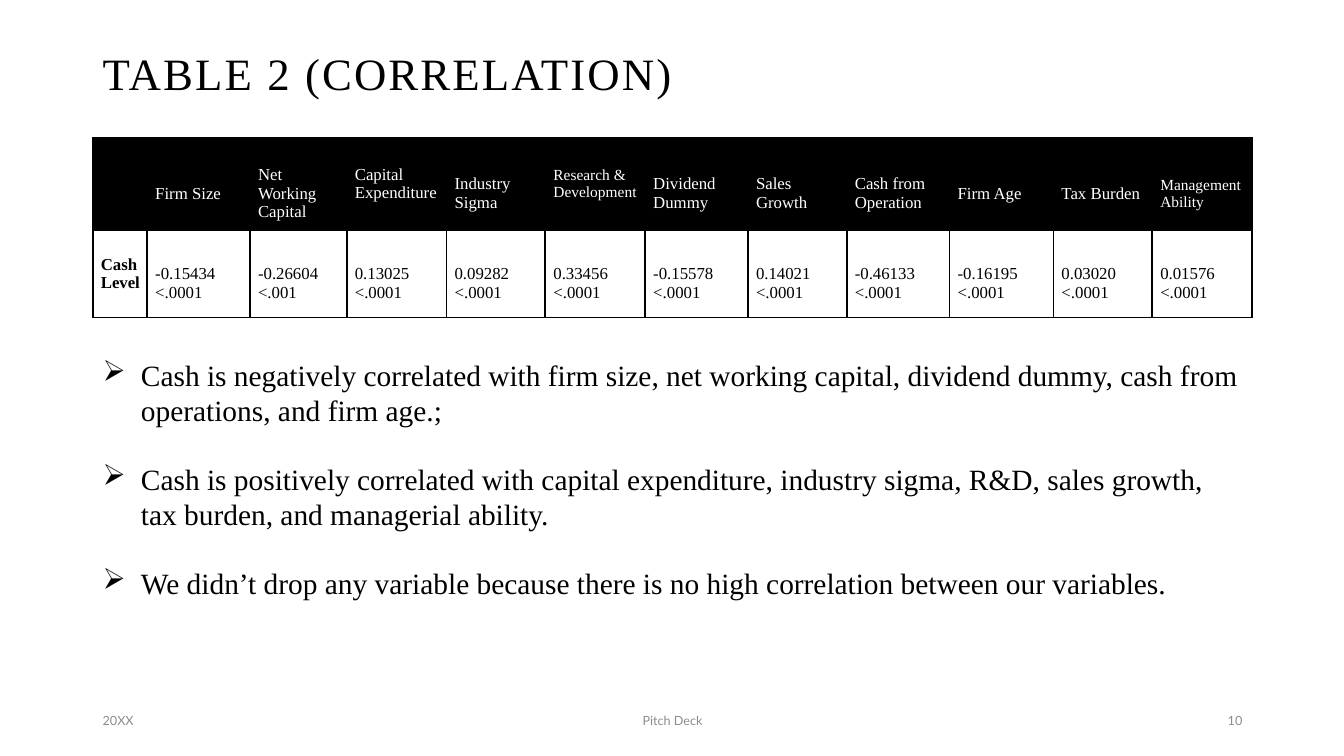
import pptx
import pptx.util
import pptx.dml.color
import pptx.enum.text
import pptx.oxml.ns
from lxml import etree

Inches, Pt = pptx.util.Inches, pptx.util.Pt
ALIGN, ANCHOR = pptx.enum.text.PP_ALIGN, pptx.enum.text.MSO_ANCHOR
qn = pptx.oxml.ns.qn

COLORS = {"ink": "000000", "paper": "FFFFFF", "footer": "8C8C8C"}
SERIF, SANS = "Times New Roman", "Lato"
LEFT, WIDTH = 0.92, 11.5
PAD, BLANK_LINE = 0.06, 0.19

# Heading, font size, column width, whether the text sits one line low
VARIABLES = [
    ("Firm Size", 12, 1.02, True), ("Net Working Capital", 12, 0.96, True),
    ("Capital Expenditure", 12, 0.99, False), ("Industry Sigma", 12, 0.98, True),
    ("Research & Development", 11, 0.99, False), ("Dividend Dummy", 12, 1.02, True),
    ("Sales Growth", 12, 0.98, True), ("Cash from Operation", 12, 1.02, True),
    ("Firm Age", 12, 1.03, True), ("Tax Burden", 12, 0.98, True),
    ("Management Ability", 11, 0.99, True),
]
CASH_LEVEL = [
    ("-0.15434", "<.0001"), ("-0.26604", "<.001"), ("0.13025", "<.0001"),
    ("0.09282", "<.0001"), ("0.33456", "<.0001"), ("-0.15578", "<.0001"),
    ("0.14021", "<.0001"), ("-0.46133", "<.0001"), ("-0.16195", "<.0001"),
    ("0.03020", "<.0001"), ("0.01576", "<.0001"),
]
FINDINGS = [
    "Cash is negatively correlated with firm size, net working capital, dividend dummy, "
    "cash from operations, and firm age.;",
    "Cash is positively correlated with capital expenditure, industry sigma, R&D, "
    "sales growth, tax burden, and managerial ability.",
    "We didn’t drop any variable because there is no high correlation between our variables.",
]


def rgb(name):
    return pptx.dml.color.RGBColor.from_string(COLORS[name])


def write(frame, lines, size=12, font=SERIF, color="ink", bold=False, align=ALIGN.LEFT,
          tracking=0, bullet=None, gap=0):
    for index, line in enumerate(lines):
        paragraph = frame.paragraphs[0] if index == 0 else frame.add_paragraph()
        if bullet:
            properties = paragraph._p.get_or_add_pPr()
            properties.set("marL", str(Inches(0.38)))
            properties.set("indent", str(-Inches(0.38)))
            etree.SubElement(properties, qn("a:buChar"), char=bullet)
        paragraph.alignment = align
        if index and gap:
            paragraph.space_before = Pt(gap)
        run = paragraph.add_run()
        run.text = line
        run.font.size, run.font.name, run.font.bold = Pt(size), font, bold
        run.font.color.rgb = rgb(color)
        if tracking:
            run._r.get_or_add_rPr().set("spc", str(int(tracking * 100)))


def add_text(slide, box, lines, anchor=ANCHOR.TOP, **style):
    frame = slide.shapes.add_textbox(*map(Inches, box)).text_frame
    frame.word_wrap = True
    frame.vertical_anchor = anchor
    write(frame, lines, **style)


def fill_cell(cell, lines, fill, low=True, **style):
    cell.margin_left = Inches(0.08)
    cell.margin_right = cell.margin_bottom = Inches(PAD)
    cell.margin_top = Inches(PAD + BLANK_LINE if low else PAD)
    cell.vertical_anchor = ANCHOR.MIDDLE
    write(cell.text_frame, lines, **style)
    # Borders come before the fill in the cell properties
    properties = cell._tc.get_or_add_tcPr()
    for side in ("a:lnL", "a:lnR", "a:lnT", "a:lnB"):
        border = etree.SubElement(properties, qn(side), w=str(Pt(1.5)))
        solid = etree.SubElement(border, qn("a:solidFill"))
        etree.SubElement(solid, qn("a:srgbClr"), val=COLORS["ink"])
    cell.fill.solid()
    cell.fill.fore_color.rgb = rgb(fill)


def add_correlations(slide, box):
    table = slide.shapes.add_table(2, len(VARIABLES) + 1, *map(Inches, box)).table
    for row in table.rows:
        row.height = Inches(box[3] / 2)
    table.columns[0].width = Inches(0.54)
    fill_cell(table.cell(0, 0), [], "ink")
    fill_cell(table.cell(1, 0), ["Cash Level"], "paper", low=False, bold=True)
    for column, (variable, values) in enumerate(zip(VARIABLES, CASH_LEVEL), 1):
        heading, size, width, low = variable
        table.columns[column].width = Inches(width)
        fill_cell(table.cell(0, column), [heading], "ink", low=low, size=size, color="paper")
        fill_cell(table.cell(1, column), values, "paper")


def add_footer(slide, box):
    left, top, width, height = box
    parts = [
        ("20XX", left, 3, ALIGN.LEFT),
        ("Pitch Deck", left + (width - 4.5) / 2, 4.5, ALIGN.CENTER),
        ("10", left + width - 3, 3, ALIGN.RIGHT),
    ]
    for text, part_left, part_width, align in parts:
        add_text(slide, (part_left, top, part_width, height), [text], anchor=ANCHOR.MIDDLE,
                 size=9, font=SANS, color="footer", align=align)


def main():
    deck = pptx.Presentation()
    deck.slide_width, deck.slide_height = Inches(13.33), Inches(7.5)
    slide = deck.slides.add_slide(deck.slide_layouts[6])
    # Title
    add_text(slide, (LEFT, 0.4, WIDTH, 1.45), ["TABLE 2 (CORRELATION)"], size=32, tracking=1.5)
    # Correlation table
    add_correlations(slide, (LEFT, 1.37, WIDTH, 1.74))
    # Findings
    add_text(slide, (LEFT, 3.49, WIDTH, 2.88), FINDINGS, size=21, bullet="➢", gap=24)
    # Footer
    add_footer(slide, (LEFT, 6.95, WIDTH, 0.4))
    deck.save("out.pptx")


if __name__ == "__main__":
    main()
